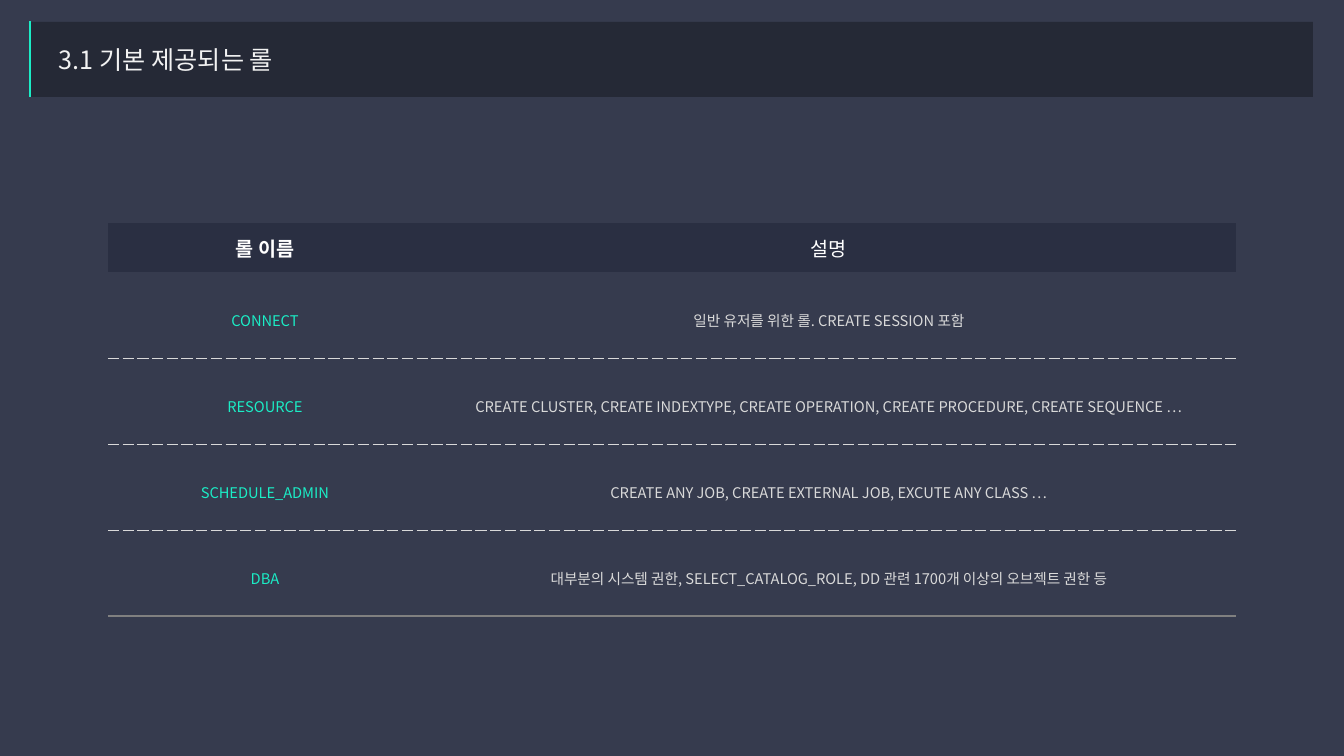
import pptx
import pptx.dml.color
import pptx.enum.shapes
import pptx.enum.text
import pptx.oxml.ns
import pptx.util
from lxml import etree

PX = 9144000 / 1008
FONT = "Noto Sans CJK KR"
MINT, GREY, WHITE, NAVY = "1BEDC6", "D9D9D9", "FFFFFF", "2A2F42"
DASHED = (GREY, 0.5, "sysDash")
SOLID = ("808080", 1, "solid")
ROLES = [
    ("CONNECT", "일반 유저를 위한 롤. CREATE SESSION 포함"),
    ("RESOURCE", "CREATE CLUSTER, CREATE INDEXTYPE, CREATE OPERATION, "
                 "CREATE PROCEDURE, CREATE SEQUENCE …"),
    ("SCHEDULE_ADMIN", "CREATE ANY JOB, CREATE EXTERNAL JOB, EXCUTE ANY CLASS …"),
    ("DBA", "대부분의 시스템 권한, SELECT_CATALOG_ROLE, DD 관련 1700개 이상의 오브젝트 권한 등"),
]


def px(n):
    """Convert pixels to EMU."""
    return pptx.util.Emu(round(n * PX))


def rgb(value):
    """Turn a hex string into a colour."""
    return pptx.dml.color.RGBColor.from_string(value)


def sub(parent, tag, **attrs):
    """Append a DrawingML child element."""
    return etree.SubElement(parent, pptx.oxml.ns.qn(tag), attrs)


def add_run(p, text, size, color, bold=False):
    """Add one formatted run to a paragraph."""
    r = p.add_run()
    r.text = text
    r.font.size = pptx.util.Pt(size)
    r.font.bold = bold
    r.font.color.rgb = rgb(color)
    r.font.name = FONT
    sub(r.font._element, "a:ea", typeface=FONT)


def add_title(slide, text):
    """Add the translucent title bar and its accent line."""
    sp = slide.shapes.add_shape(
        pptx.enum.shapes.MSO_SHAPE.RECTANGLE, px(30), px(22), px(1283), px(75))
    sp.shadow.inherit = False
    sp.fill.solid()
    sp.fill.fore_color.rgb = rgb("000000")
    sub(sp.fill._xPr.find(".//" + pptx.oxml.ns.qn("a:srgbClr")), "a:alpha", val="30000")
    sp.line.fill.background()
    tf = sp.text_frame
    tf.word_wrap = True
    tf.vertical_anchor = pptx.enum.text.MSO_ANCHOR.MIDDLE
    p = tf.paragraphs[0]
    p.alignment = pptx.enum.text.PP_ALIGN.LEFT
    p._p.get_or_add_pPr().set("marL", str(px(19)))
    add_run(p, text, 18, "F2F2F2")

    line = slide.shapes.add_connector(
        pptx.enum.shapes.MSO_CONNECTOR.STRAIGHT, px(30), px(97), px(30), px(21))
    line.line.color.rgb = rgb(MINT)
    line.line.width = pptx.util.Pt(1)
    sub(line._element.spPr, "a:effectLst")


def set_borders(cell, top=None, bottom=None):
    """Set the horizontal borders of a cell and clear its sides."""
    tcPr = cell._tc.get_or_add_tcPr()
    for tag, border in (("lnL", None), ("lnR", None), ("lnT", top), ("lnB", bottom)):
        if border is None:
            sub(sub(tcPr, "a:" + tag, w="0"), "a:noFill")
            continue
        color, width, dash = border
        ln = sub(tcPr, "a:" + tag, w=str(pptx.util.Pt(width)))
        sub(sub(ln, "a:solidFill"), "a:srgbClr", val=color)
        sub(ln, "a:prstDash", val=dash)


def fill_cell(cell, text, size, color, bold=False, spacing=None, fill=None,
              top=None, bottom=None):
    """Write and format one table cell."""
    set_borders(cell, top, bottom)
    if fill:
        cell.fill.solid()
        cell.fill.fore_color.rgb = rgb(fill)
    else:
        cell.fill.background()
    cell.vertical_anchor = pptx.enum.text.MSO_ANCHOR.MIDDLE
    p = cell.text_frame.paragraphs[0]
    p.alignment = pptx.enum.text.PP_ALIGN.CENTER
    p.line_spacing = spacing
    add_run(p, text, size, color, bold)


def add_roles(slide):
    """Add the table of predefined roles."""
    widths = (314, 814)
    heights = [49] + [86] * len(ROLES)
    table = slide.shapes.add_table(
        len(heights), len(widths), px(108), px(223),
        px(sum(widths)), px(sum(heights))).table
    table.first_row = table.horz_banding = False
    for column, width in zip(table.columns, widths):
        column.width = px(width)
    for row, height in zip(table.rows, heights):
        row.height = px(height)
    for col, text in enumerate(("롤 이름", "설명")):
        fill_cell(table.cell(0, col), text, 14, WHITE, bold=col == 0, fill=NAVY)
    for i, role in enumerate(ROLES, 1):
        top = DASHED if i > 1 else None
        bottom = DASHED if i < len(ROLES) else SOLID
        for col, (text, color) in enumerate(zip(role, (MINT, GREY))):
            fill_cell(table.cell(i, col), text, 10.5, color, spacing=1.5,
                      top=top, bottom=bottom)


def main():
    """Build and save the slide."""
    prs = pptx.Presentation()
    prs.slide_width, prs.slide_height = px(1344), px(756)
    s = prs.slides.add_slide(prs.slide_layouts[6])
    s.background.fill.solid()
    s.background.fill.fore_color.rgb = rgb("363B4E")
    add_title(s, "3.1 기본 제공되는 롤")
    add_roles(s)
    prs.save("out.pptx")


if __name__ == "__main__":
    main()
